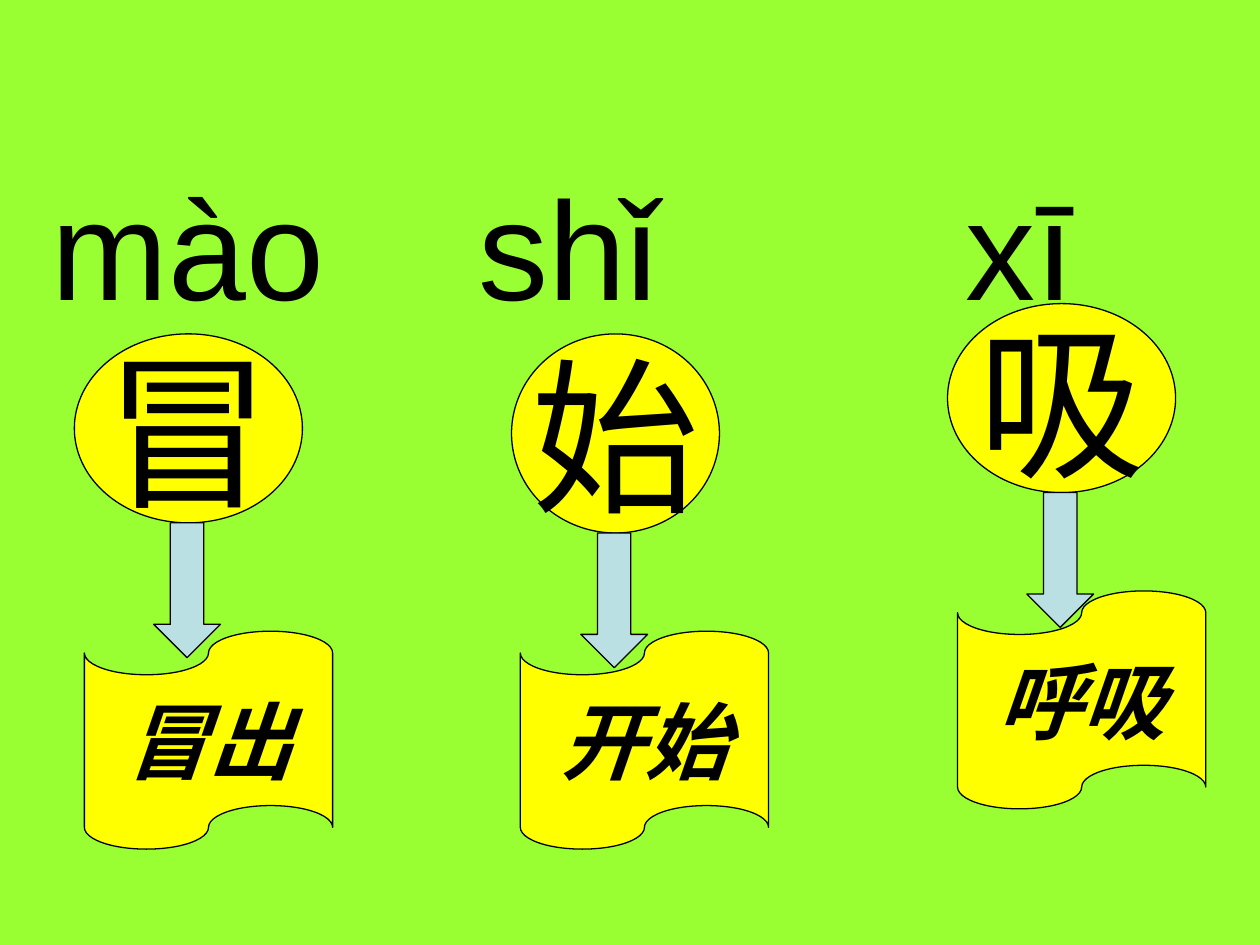
import pptx
import pptx.util
import pptx.dml.color
import pptx.enum.shapes
import pptx.enum.text
import lxml.etree
import pptx.oxml.ns

Inches = pptx.util.Inches
Pt = pptx.util.Pt
RGBColor = pptx.dml.color.RGBColor
MSO_SHAPE = pptx.enum.shapes.MSO_SHAPE

GREEN = RGBColor(0x99, 0xFF, 0x33)
YELLOW = RGBColor(0xFF, 0xFF, 0x00)
PALE_BLUE = RGBColor(0xBB, 0xE0, 0xE3)
BLACK = RGBColor(0x00, 0x00, 0x00)


def style_text(paragraph, size, bold=False):
    """Set black Arial; bold text is also slanted."""
    for run in paragraph.runs:
        run.font.name = "Arial"
        run.font.size = Pt(size)
        run.font.color.rgb = BLACK
        run.font.bold = run.font.italic = bold


def add_figure(preset, left, top, width, height, fill, text="", size=48, bold=False):
    figure = slide.shapes.add_shape(
        preset, Inches(left), Inches(top), Inches(width), Inches(height))
    figure.shadow.inherit = False
    figure.fill.solid()
    figure.fill.fore_color.rgb = fill
    figure.line.color.rgb = BLACK
    figure.line.width = Pt(0.75)
    if text:
        frame = figure.text_frame
        frame.text = text
        frame.word_wrap = False
        frame.vertical_anchor = pptx.enum.text.MSO_ANCHOR.MIDDLE
        frame.paragraphs[0].alignment = pptx.enum.text.PP_ALIGN.CENTER
        style_text(frame.paragraphs[0], size, bold)


presentation = pptx.Presentation()
presentation.slide_width = Inches(10)
presentation.slide_height = Inches(7.5)
slide = presentation.slides.add_slide(presentation.slide_layouts[6])
slide.background.fill.solid()
slide.background.fill.fore_color.rgb = GREEN

# Pinyin line, with a tab stop for each later syllable
pinyin = slide.shapes.add_textbox(Inches(0), Inches(1.23), Inches(9.93), Inches(1.18))
pinyin_frame = pinyin.text_frame
pinyin_frame.word_wrap = True
pinyin_frame.margin_left = Inches(0.41)
pinyin_frame.margin_top = Inches(0.04)
syllables = pinyin_frame.paragraphs[0]
syllables.text = "mào\tshǐ\txī"
tab_list = lxml.etree.SubElement(
    syllables._p.get_or_add_pPr(), pptx.oxml.ns.qn("a:tabLst"))
for stop in (3.39, 7.25):
    lxml.etree.SubElement(tab_list, pptx.oxml.ns.qn("a:tab"),
                          pos=str(Inches(stop)), algn="l")
style_text(syllables, 80)

# Character, its circle (left, top, width, height), arrow left, word, tape left and top
columns = [
    ("冒", (0.59, 2.65, 1.81, 1.5), 1.22, "冒出", 0.67, 5.01),
    ("始", (4.06, 2.65, 1.65, 1.58), 4.61, "开始", 4.13, 5.01),
    ("吸", (7.52, 2.41, 1.81, 1.5), 8.15, "呼吸", 7.6, 4.69),
]
for character, circle, arrow_left, word, tape_left, tape_top in columns:
    add_figure(MSO_SHAPE.OVAL, *circle, YELLOW, character, 96)
    circle_bottom = circle[1] + circle[3]
    add_figure(MSO_SHAPE.DOWN_ARROW, arrow_left, circle_bottom, 0.53, 1.07, PALE_BLUE)
    add_figure(MSO_SHAPE.FLOWCHART_PUNCHED_TAPE, tape_left, tape_top, 1.97, 1.73,
               YELLOW, word, 48, bold=True)

presentation.save("out.pptx")
